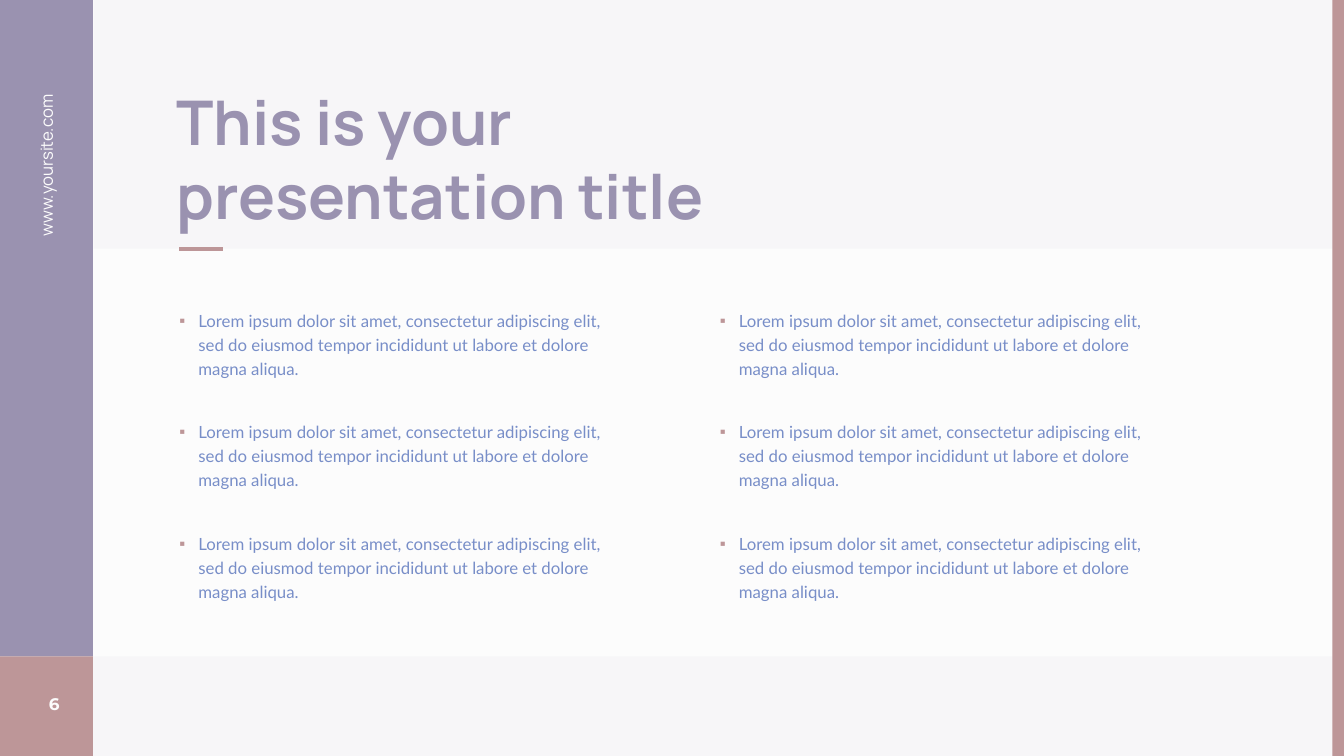
from dataclasses import dataclass

from lxml import etree
from pptx import Presentation
from pptx import util as u
from pptx.dml.color import RGBColor
from pptx.enum import shapes, text
from pptx.oxml import ns

COLORS = {
    "paper": "FCFCFC",
    "violet": "9A92B0",
    "rose": "BD9698",
    "body": "788EC8",
}
LOREM = ("Lorem ipsum dolor sit amet, consectetur adipiscing elit, "
         "sed do eiusmod tempor incididunt ut labore et dolore magna aliqua.")
SLIDE_W, SLIDE_H = 33.87, 19.05
SIDE_W, FOOT_TOP, HEAD_H = 2.34, 16.54, 6.27
LIST_LEFT, LIST_TOP, LIST_H = 4.52, 7.72, 7.42
INDENT = u.Cm(0.48)


@dataclass
class Box:
    left: float
    top: float
    width: float
    height: float

    def lengths(self) -> list[u.Cm]:
        return [u.Cm(v) for v in (self.left, self.top, self.width, self.height)]


@dataclass
class Band:
    box: Box
    color: str
    alpha: int = 100


@dataclass
class Style:
    font: str
    size: float
    color: str
    bold: bool = False


@dataclass
class Label:
    box: Box
    words: str
    style: Style
    anchor: text.MSO_ANCHOR = text.MSO_ANCHOR.TOP
    rotation: int = 0


BANDS = [
    Band(Box(0, FOOT_TOP, SLIDE_W, SLIDE_H - FOOT_TOP), "violet", 5),
    Band(Box(0, 0, SIDE_W, FOOT_TOP), "violet"),
    Band(Box(0, FOOT_TOP, SIDE_W, SLIDE_H - FOOT_TOP), "rose"),
    Band(Box(2.36, 0, SLIDE_W - 2.36, HEAD_H), "violet", 5),
    Band(Box(33.58, 0, SLIDE_W - 33.58, SLIDE_H), "rose"),
]
LABELS = [
    Label(Box(0.61, 17.22, 1.14, 1.02), "6",
          Style("Montserrat", 12, "paper", True), text.MSO_ANCHOR.MIDDLE),
    Label(Box(-2.34, 5.26, 7.01, 0.76), "www.yoursite.com",
          Style("Manrope", 12, "paper"), rotation=270),
]
COLUMNS = [
    Box(LIST_LEFT, LIST_TOP, 11.2, LIST_H),
    Box(18.14, LIST_TOP, 11.1, LIST_H),
]


def rgb(name: str) -> RGBColor:
    return RGBColor.from_string(COLORS[name])


def add_run(p, words: str, style: Style) -> None:
    r = p.add_run()
    r.text = words
    r.font.name = style.font
    r.font.size = u.Pt(style.size)
    r.font.bold = style.bold
    r.font.color.rgb = rgb(style.color)


def place(sp, box: Box) -> None:
    sp.left, sp.top, sp.width, sp.height = box.lengths()


def setup_frame(tf, anchor: text.MSO_ANCHOR) -> None:
    tf.word_wrap = True
    tf.auto_size = text.MSO_AUTO_SIZE.NONE
    tf.vertical_anchor = anchor


def add_band(s, band: Band) -> None:
    sp = s.shapes.add_shape(shapes.MSO_SHAPE.RECTANGLE, *band.box.lengths())
    sp.shadow.inherit = False
    sp.fill.solid()
    sp.fill.fore_color.rgb = rgb(band.color)
    sp.line.fill.background()
    if band.alpha < 100:
        clr = sp._element.spPr.find(".//" + ns.qn("a:srgbClr"))
        etree.SubElement(clr, ns.qn("a:alpha"), val=str(band.alpha * 1000))


def add_label(s, label: Label) -> None:
    sp = s.shapes.add_textbox(*label.box.lengths())
    sp.rotation = label.rotation
    setup_frame(sp.text_frame, label.anchor)
    p = sp.text_frame.paragraphs[0]
    p.alignment = text.PP_ALIGN.RIGHT
    add_run(p, label.words, label.style)


def set_bullet(p) -> None:
    pPr = p._p.get_or_add_pPr()
    pPr.set("marL", str(INDENT))
    pPr.set("indent", str(-INDENT))
    clr = etree.SubElement(pPr, ns.qn("a:buClr"))
    etree.SubElement(clr, ns.qn("a:srgbClr"), val=COLORS["rose"])
    etree.SubElement(pPr, ns.qn("a:buChar"), char="▪")


def fill_list(sp, box: Box, items: list[str]) -> None:
    place(sp, box)
    tf = sp.text_frame
    setup_frame(tf, text.MSO_ANCHOR.TOP)
    tf.margin_left = tf.margin_right = tf.margin_top = tf.margin_bottom = 0
    for i, item in enumerate(items):
        p = tf.add_paragraph() if i else tf.paragraphs[0]
        set_bullet(p)
        p.line_spacing = 1.2
        p.space_before = u.Pt(27.8 if i else 0)
        add_run(p, item, Style("Lato", 12, "body"))


def add_accent(s) -> None:
    ln = s.shapes.add_connector(
        shapes.MSO_CONNECTOR.STRAIGHT,
        u.Cm(LIST_LEFT), u.Cm(HEAD_H), u.Cm(5.61), u.Cm(HEAD_H))
    ln.line.color.rgb = rgb("rose")
    ln.line.width = u.Pt(3)
    etree.SubElement(ln._element.spPr, ns.qn("a:effectLst"))


def main() -> None:
    prs = Presentation()
    prs.slide_width, prs.slide_height = u.Cm(SLIDE_W), u.Cm(SLIDE_H)
    s = prs.slides.add_slide(prs.slide_layouts.get_by_name("Two Content"))
    s.background.fill.solid()
    s.background.fill.fore_color.rgb = rgb("paper")
    title, *lists = s.placeholders

    # Background bands, page number and site address
    for band in BANDS:
        add_band(s, band)
    for label in LABELS:
        add_label(s, label)

    # Placeholders go in front of the bands
    for sp in (title, *lists):
        sp._element.getparent().append(sp._element)

    # Title with its accent line
    place(title, Box(4.19, 1.98, 18.47, 4.01))
    setup_frame(title.text_frame, text.MSO_ANCHOR.TOP)
    p = title.text_frame.paragraphs[0]
    p.alignment = text.PP_ALIGN.LEFT
    add_run(p, "This is your presentation title",
            Style("Manrope", 44, "violet", True))
    add_accent(s)

    # Two bulleted columns
    for sp, box in zip(lists, COLUMNS):
        fill_list(sp, box, [LOREM] * 3)

    prs.save("out.pptx")


if __name__ == "__main__":
    main()
